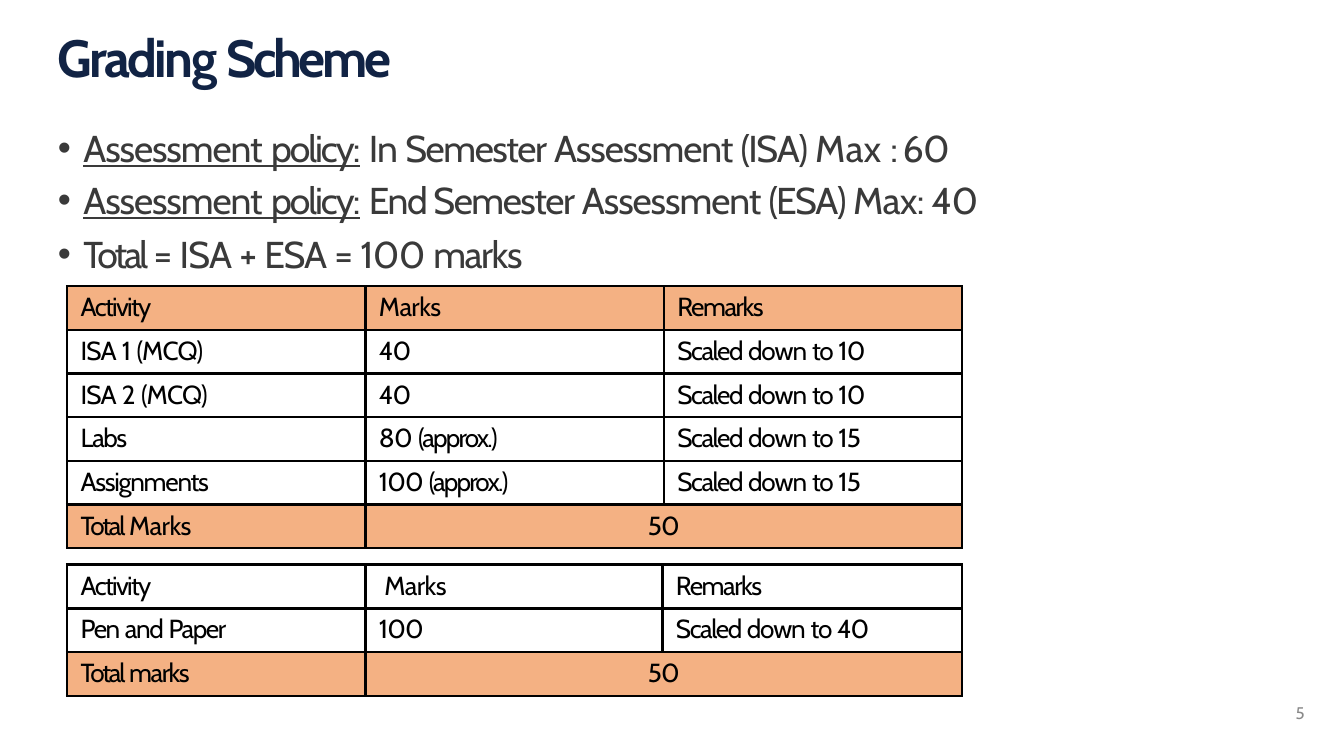
from lxml import etree
from pptx import Presentation
from pptx import util as u
from pptx.dml.color import RGBColor
from pptx.enum import text
from pptx.oxml import ns

NAVY = RGBColor(0x11, 0x23, 0x44)
CHARCOAL = RGBColor(0x3A, 0x3A, 0x3A)
GRAY = RGBColor(0x89, 0x89, 0x89)
BLACK = RGBColor(0, 0, 0)
ORANGE = RGBColor(0xF4, 0xB1, 0x83)
FONT = "Cabin"

POLICY = [("Assessment", -0.6, True), (" ", -1.6, True), ("policy:", -1.1, True), (" ", -1.6)]
BULLETS = [
    (4.8, POLICY + [("In ", -0.5), ("Semester ", -0.8), ("Assessment ", -0.6),
                    ("(ISA) ", -0.8), ("Max ", 0.1), (": ", -2), ("60", -0.4)]),
    (3.9, POLICY + [("End Semester ", -0.8), ("Assessment ", -0.6),
                    ("(ESA) ", -0.9), ("Max: 40", -0.4)]),
    (5, [("Total ", -1.6), ("= ", -0.6), ("ISA ", -0.5), ("+ ", -0.6),
         ("ESA ", -0.7), ("= ", -0.6), ("100 ", -0.4), ("marks", -0.8)]),
]

WORD_SPACING = {"Activity": -0.9, "Marks": -0.3, "ISA": -0.5, "1": -0.2, "2": -0.2,
                "(MCQ)": -0.4, "down": -0.6, "to": -0.7, "10": -0.4, "15": -0.4,
                "40": -0.5, "50": -0.5, "80": -0.4, "100": -0.5, "(approx.)": -1,
                "Assignments": -0.7, "Total": -1.2, "and": -0.7}
DEFAULT_SPACING = -0.8

HEADER = ["Activity", "Marks", "Remarks"]
ISA_ROWS = [
    HEADER,
    ["ISA 1 (MCQ)", "40", "Scaled down to 10"],
    ["ISA 2 (MCQ)", "40", "Scaled down to 10"],
    ["Labs", "80 (approx.)", "Scaled down to 15"],
    ["Assignments", "100 (approx.)", "Scaled down to 15"],
    ["Total Marks", "50"],
]
ESA_ROWS = [HEADER, ["Pen and Paper", "100", "Scaled down to 40"], ["Total marks", "50"]]


def add_runs(paragraph, pieces, size, color, bold=False):
    """Add runs given as (wording, letter spacing[, underlined])."""
    for wording, spacing, *underlined in pieces:
        run = paragraph.add_run()
        run.text = wording
        run.font.name = FONT
        run.font.size = u.Pt(size)
        run.font.bold = bold
        run.font.underline = bool(underlined)
        run.font.color.rgb = color
        run._r.get_or_add_rPr().set("spc", str(round(spacing * 100)))


def indent(paragraph, left, first=0):
    """Set the left margin and first-line indent in inches."""
    properties = paragraph._p.get_or_add_pPr()
    properties.set("marL", str(u.Inches(left)))
    properties.set("indent", str(u.Inches(first)))
    return properties


def prepare_frame(shape, top_inset):
    """Wrap and fit a text frame with only a top inset."""
    frame = shape.text_frame
    frame.word_wrap = True
    frame.auto_size = text.MSO_AUTO_SIZE.SHAPE_TO_FIT_TEXT
    frame.margin_left = frame.margin_right = frame.margin_bottom = 0
    frame.margin_top = u.Inches(top_inset)
    return frame


def place_title(slide, left, top, width, height):
    """Move and format the title placeholder."""
    title = slide.shapes.title
    title.left, title.top = u.Inches(left), u.Inches(top)
    title.width, title.height = u.Inches(width), u.Inches(height)
    frame = prepare_frame(title, 0.01)
    frame.vertical_anchor = text.MSO_ANCHOR.MIDDLE
    paragraph = frame.paragraphs[0]
    paragraph.alignment = text.PP_ALIGN.LEFT
    paragraph.space_before = u.Pt(1)
    indent(paragraph, 0.01)
    add_runs(paragraph, [("Grading ", -1.4), ("Scheme", -1.8)], 28, NAVY, True)


def add_bullets(slide, left, top, width, height):
    """Add the list of assessment policies."""
    box = slide.shapes.add_textbox(*map(u.Inches, (left, top, width, height)))
    frame = prepare_frame(box, 0.07)
    for index, (space_before, pieces) in enumerate(BULLETS):
        paragraph = frame.add_paragraph() if index else frame.paragraphs[0]
        paragraph.space_before = u.Pt(space_before)
        properties = indent(paragraph, 0.2, -0.19)
        etree.SubElement(properties, ns.qn("a:buFont"), typeface="Arial")
        etree.SubElement(properties, ns.qn("a:buChar"), char="•")
        add_runs(paragraph, pieces, 20, CHARCOAL)


def add_page_number(slide, left, top, width, height):
    """Add the page number."""
    box = slide.shapes.add_textbox(*map(u.Inches, (left, top, width, height)))
    paragraph = prepare_frame(box, 0.01).paragraphs[0]
    paragraph.space_before = u.Pt(0.6)
    indent(paragraph, 0.04)
    add_runs(paragraph, [("5", -0.2)], 9, GRAY)


def outline_cell(cell):
    """Draw a black border on all four sides of a cell."""
    properties = cell._tc.get_or_add_tcPr()
    for side in ("lnL", "lnR", "lnT", "lnB"):
        line = etree.SubElement(properties, ns.qn(f"a:{side}"), w=str(u.Pt(1.5)))
        fill = etree.SubElement(line, ns.qn("a:solidFill"))
        etree.SubElement(fill, ns.qn("a:srgbClr"), val=str(BLACK))


def fill_cell(cell, wording, shaded, left_indent, centered):
    """Write and format the content of one cell."""
    cell.margin_left = cell.margin_right = cell.margin_bottom = 0
    cell.margin_top = u.Inches(0.04)
    paragraph = cell.text_frame.paragraphs[0]
    paragraph.space_before = u.Pt(2.6)
    if centered:
        paragraph.alignment = text.PP_ALIGN.CENTER
    else:
        indent(paragraph, left_indent)
    words = wording.split()
    pieces = [(word + (" " if position < len(words) else ""),
               WORD_SPACING.get(word, DEFAULT_SPACING))
              for position, word in enumerate(words, 1)]
    add_runs(paragraph, pieces, 14, BLACK)
    if shaded:
        cell.fill.solid()
        cell.fill.fore_color.rgb = ORANGE
    else:
        cell.fill.background()


def add_marks_table(slide, left, top, height, widths, rows, shaded_rows, marks_indent=0.1):
    """Add a marks table whose last row holds a merged total."""
    frame = slide.shapes.add_table(len(rows), len(widths), u.Inches(left), u.Inches(top),
                                   u.Inches(sum(widths)), u.Inches(height))
    table = frame.table
    table.first_row = table.horz_banding = False
    for column, width in zip(table.columns, widths):
        column.width = u.Inches(width)
    for row in table.rows:
        row.height = u.Inches(height / len(rows))
    for cell in table.iter_cells():
        outline_cell(cell)
    last = len(rows) - 1
    table.cell(last, 1).merge(table.cell(last, 2))
    for row_index, wordings in enumerate(rows):
        for column_index, wording in enumerate(wordings):
            is_marks_header = row_index == 0 and column_index == 1
            fill_cell(table.cell(row_index, column_index), wording,
                      row_index in shaded_rows,
                      marks_indent if is_marks_header else 0.1,
                      row_index == last and column_index == 1)


def main():
    """Build the grading scheme slide."""
    presentation = Presentation()
    presentation.slide_width = u.Inches(10)
    presentation.slide_height = u.Inches(10 * 9 / 16)
    slide = presentation.slides.add_slide(presentation.slide_layouts[5])
    place_title(slide, 0.42, 0.17, 2.65, 0.49)
    add_page_number(slide, 9.6, 5.22, 0.21, 0.18)
    add_bullets(slide, 0.42, 0.86, 6.99, 1.2)
    add_marks_table(slide, 0.5, 2.13, 1.95, (2.22, 2.22, 2.22), ISA_ROWS, (0, 5))
    add_marks_table(slide, 0.5, 4.2, 0.98, (2.22, 2.21, 2.23), ESA_ROWS, (2,), 0.14)
    presentation.save("out.pptx")


if __name__ == "__main__":
    main()
